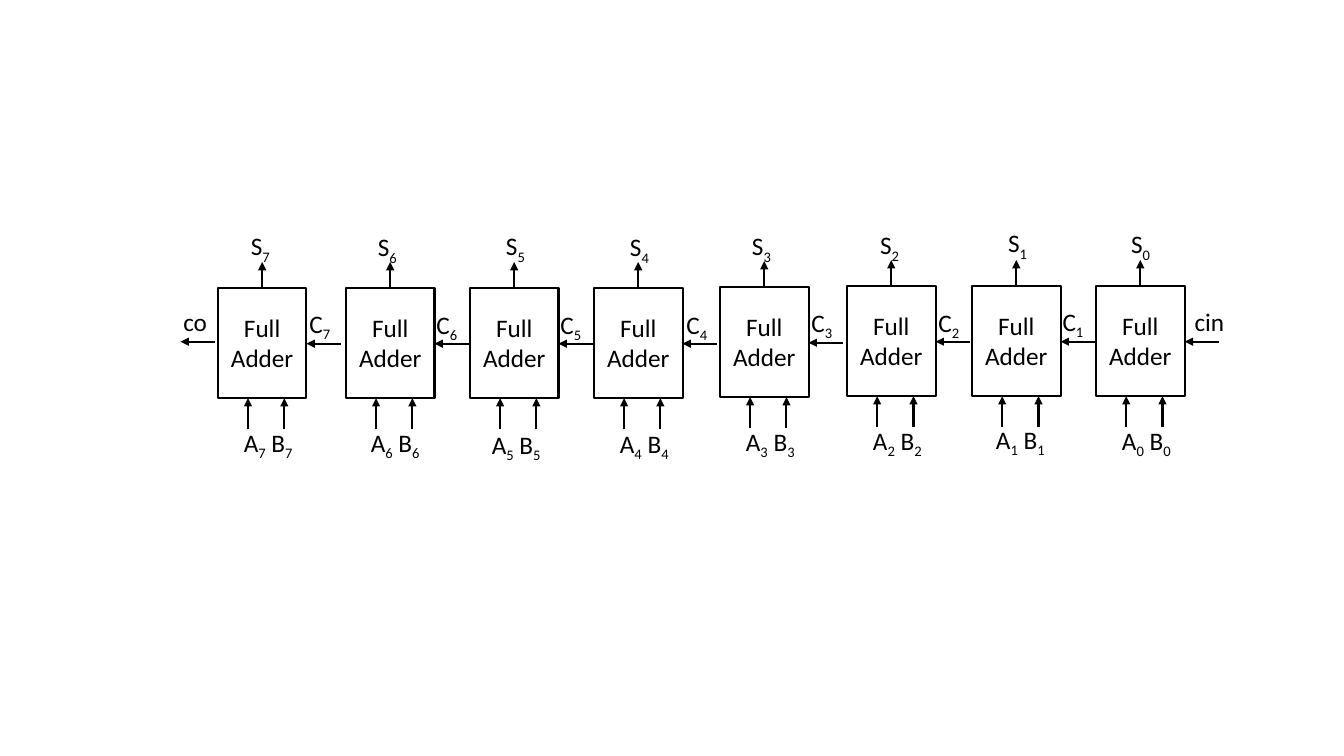
from dataclasses import dataclass

from lxml import etree
from pptx import Presentation
from pptx.dml.color import RGBColor
from pptx.enum.shapes import MSO_CONNECTOR as Connector, MSO_SHAPE as Shape
from pptx.enum.text import MSO_AUTO_SIZE as AutoSize, PP_ALIGN as Align
from pptx.oxml.ns import qn
from pptx.util import Inches, Pt

BLACK = RGBColor(0x00, 0x00, 0x00)
BOX_WIDTH, BOX_HEIGHT = 0.88, 1.09
CARRY_DROP, CARRY_LENGTH = 0.55, 0.34
INPUT_OFFSETS = (0.30, 0.66)
INPUT_LENGTH, SUM_LENGTH = 0.31, 0.26


@dataclass
class Adder:
    """Corner of one adder and of its input, sum and carry-in labels."""
    bit: int
    left: float
    top: float
    inputs: tuple
    total: tuple
    carry: tuple


ADDERS = [
    Adder(0, 10.87, 2.84, (11.03, 4.17), (11.12, 2.22), (11.75, 2.99)),
    Adder(1, 9.64, 2.84, (9.78, 4.16), (9.90, 2.21), (10.44, 2.99)),
    Adder(2, 8.40, 2.84, (8.56, 4.17), (8.63, 2.23), (9.21, 3.00)),
    Adder(3, 7.14, 2.85, (7.30, 4.18), (7.36, 2.24), (7.95, 3.00)),
    Adder(4, 5.89, 2.86, (6.05, 4.20), (6.15, 2.25), (6.71, 3.02)),
    Adder(5, 4.66, 2.86, (4.78, 4.21), (4.92, 2.24), (5.46, 3.02)),
    Adder(6, 3.43, 2.86, (3.58, 4.19), (3.65, 2.25), (4.23, 3.02)),
    Adder(7, 2.16, 2.86, (2.32, 4.19), (2.39, 2.24), (2.97, 3.01)),
]


class Diagram:
    """Holds the slide and the shared style of its elements."""

    def __init__(self, slide, font="Calibri", size=18, line_width=1.5):
        self.slide = slide
        self.font = font
        self.size = Pt(size)
        self.line_width = Pt(line_width)

    def box(self, left, top):
        shape = self.slide.shapes.add_shape(
            Shape.RECTANGLE, Inches(left), Inches(top),
            Inches(BOX_WIDTH), Inches(BOX_HEIGHT))
        shape.shadow.inherit = False
        shape.fill.background()
        shape.line.color.rgb = BLACK
        shape.line.width = self.line_width

    def label(self, left, top, width, height, *parts, align=Align.LEFT):
        """Write the parts run by run; a whole number becomes a subscript."""
        shape = self.slide.shapes.add_textbox(
            Inches(left), Inches(top), Inches(width), Inches(height))
        frame = shape.text_frame
        frame.word_wrap = True
        frame.auto_size = AutoSize.SHAPE_TO_FIT_TEXT
        paragraph = frame.paragraphs[0]
        paragraph.alignment = align
        for part in parts:
            run = paragraph.add_run()
            run.text = str(part)
            run.font.name = self.font
            run.font.size = self.size
            run.font.color.rgb = BLACK
            if isinstance(part, int):
                run._r.get_or_add_rPr().set("baseline", "-25000")

    def arrow(self, start_x, start_y, end_x, end_y):
        connector = self.slide.shapes.add_connector(
            Connector.STRAIGHT, Inches(start_x), Inches(start_y),
            Inches(end_x), Inches(end_y))
        connector.line.color.rgb = BLACK
        connector.line.width = self.line_width
        properties = connector._element.spPr
        line = properties.find(qn("a:ln"))
        etree.SubElement(line, qn("a:tailEnd"), type="triangle")
        etree.SubElement(properties, qn("a:effectLst"))

    def adder(self, adder):
        left, top, bit = adder.left, adder.top, adder.bit
        right, bottom = left + BOX_WIDTH, top + BOX_HEIGHT

        # Block
        self.box(left, top)
        self.label(left, top + 0.19, BOX_WIDTH, 0.71, "Full Adder",
                   align=Align.CENTER)

        # Inputs, sum and carry arrows
        for offset in INPUT_OFFSETS:
            self.arrow(left + offset, bottom + INPUT_LENGTH,
                       left + offset, bottom)
        middle = left + BOX_WIDTH / 2
        self.arrow(middle, top, middle, top - SUM_LENGTH)
        carry_y = top + CARRY_DROP
        self.arrow(right + CARRY_LENGTH, carry_y, right, carry_y)

        # Signal names
        self.label(*adder.inputs, 0.86, 0.4, "A", bit, " B", bit)
        self.label(*adder.total, 0.54, 0.4, "S", bit)
        carry_name = ("C", bit) if bit else ("cin",)
        self.label(*adder.carry, 0.53, 0.4, *carry_name)


def main():
    presentation = Presentation()
    presentation.slide_width = Inches(13.33)
    presentation.slide_height = Inches(7.5)
    slide = presentation.slides.add_slide(presentation.slide_layouts[6])
    diagram = Diagram(slide)

    # Adder chain
    for adder in ADDERS:
        diagram.adder(adder)

    # Carry out
    diagram.arrow(2.13, 3.39, 2.13 - CARRY_LENGTH, 3.39)
    diagram.label(1.72, 2.99, 0.53, 0.4, "co")

    presentation.save("out.pptx")


if __name__ == "__main__":
    main()
